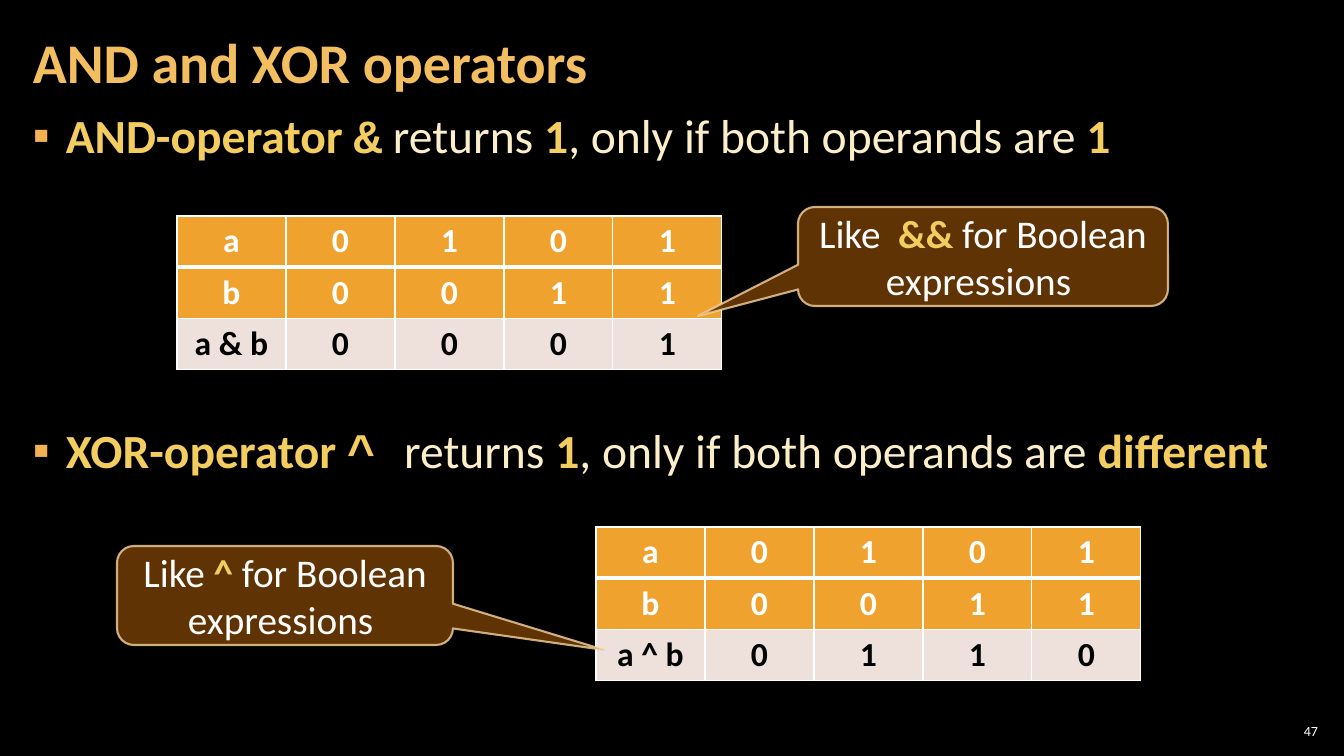
"""Build the slide on the AND and XOR operators with their truth tables."""
from lxml import etree
from pptx import Presentation
from pptx import util as u
from pptx.dml.color import RGBColor
from pptx.enum import shapes, text
from pptx.oxml.ns import qn

BLACK = RGBColor(0x00, 0x00, 0x00)
WHITE = RGBColor(0xFF, 0xFF, 0xFF)
TITLE = RGBColor(0xF3, 0xBE, 0x60)
CREAM = RGBColor(0xFB, 0xEE, 0xC9)
YELLOW = RGBColor(0xF3, 0xCD, 0x60)
ORANGE = RGBColor(0xF0, 0xA2, 0x2E)
PALE = RGBColor(0xEE, 0xE0, 0xDB)
BROWN = RGBColor(0x66, 0x36, 0x06)
TAN = RGBColor(0xF8, 0xD4, 0x9E)
BULLET = "F2B254"

PX = 914400 / 100.8
STRONG = {"color": YELLOW, "bold": True}
CODE = {**STRONG, "font": "Courier New"}

HEADING = "AND and XOR operators"
PAGE = "47"
BULLETS = [
    (3, [("AND-operator ", STRONG), ("&", CODE), (" returns ", {}), ("1", STRONG),
         (", only if both operands are ", {}), ("1", STRONG)]),
    (183, [("XOR-operator ", STRONG), ("^ ", CODE), ("returns ", {}), ("1", STRONG),
           (", only if both operands are ", {}), ("different", STRONG)]),
]
INPUTS = [["a", "0", "1", "0", "1"], ["b", "0", "0", "1", "1"]]
TABLES = [
    ((177, 216), INPUTS + [["a & b", "0", "0", "0", "1"]]),
    ((596, 527), INPUTS + [["a ^ b", "0", "1", "1", "0"]]),
]
CALLOUTS = [
    ((798, 207, 370, 99), (-0.77, 0.6, 0.17),
     [("Like  ", {}), ("&& ", STRONG), ("for Boolean expressions ", {})]),
    ((117, 546, 336, 99), (0.95, 0.55, 0.17),
     [("Like ", {}), ("^ ", STRONG), ("for Boolean expressions ", {})]),
]
COL_W, ROW_H = 109, 51


def px(*lengths):
    return [u.Emu(round(n * PX)) for n in lengths]


def add_text(p, content, size, color, bold=False, font="Calibri", align=text.PP_ALIGN.LEFT):
    p.alignment = align
    r = p.add_run()
    r.text = content
    r.font.size = u.Pt(size)
    r.font.name = font
    r.font.bold = bold
    r.font.color.rgb = color


def add_runs(p, runs, **base):
    for content, style in runs:
        add_text(p, content, **{**base, **style})


def set_frame(tf, anchor, side, edge):
    tf.word_wrap = True
    tf.auto_size = text.MSO_AUTO_SIZE.NONE
    tf.vertical_anchor = anchor
    tf.margin_left = tf.margin_right = px(side)[0]
    tf.margin_top = tf.margin_bottom = px(edge)[0]


def add_bullet(p):
    pPr = p._p.get_or_add_pPr()
    indent = px(33)[0]
    pPr.set("marL", str(indent))
    pPr.set("indent", str(-indent))
    clr = etree.SubElement(pPr, qn("a:buClr"))
    etree.SubElement(clr, qn("a:srgbClr"), val=BULLET)
    etree.SubElement(pPr, qn("a:buFont"), typeface="Calibri")
    etree.SubElement(pPr, qn("a:buChar"), char="▪")


def set_borders(cell, top, bottom):
    tcPr = cell._tc.get_or_add_tcPr()
    for side, width in (("L", 1), ("R", 1), ("T", top), ("B", bottom)):
        ln = etree.SubElement(tcPr, qn("a:ln" + side), w=str(u.Pt(width)))
        fill = etree.SubElement(ln, qn("a:solidFill"))
        etree.SubElement(fill, qn("a:srgbClr"), val=str(WHITE))


def add_truth_table(s, at, rows):
    size = COL_W * len(rows[0]), ROW_H * len(rows)
    table = s.shapes.add_table(len(rows), len(rows[0]), *px(*at, *size)).table
    for col in table.columns:
        col.width = px(COL_W)[0]
    for i, row in enumerate(rows):
        table.rows[i].height = px(ROW_H)[0]
        is_result = i == len(rows) - 1
        for j, value in enumerate(row):
            cell = table.cell(i, j)
            set_borders(cell, 3 if i == 1 else 1, 3 if i == 0 else 1)
            cell.fill.solid()
            cell.fill.fore_color.rgb = PALE if is_result else ORANGE
            add_text(cell.text_frame.paragraphs[0], value, size=24, bold=True,
                     color=BLACK if is_result else WHITE, align=text.PP_ALIGN.CENTER)


def add_callout(s, box, adjustments, runs):
    sp = s.shapes.add_shape(shapes.MSO_SHAPE.ROUNDED_RECTANGULAR_CALLOUT, *px(*box))
    for i, value in enumerate(adjustments):
        sp.adjustments[i] = value
    sp.shadow.inherit = False
    sp.fill.solid()
    sp.fill.fore_color.rgb = BROWN
    sp.line.color.rgb = TAN
    sp.line.width = u.Pt(1.5)
    colors = sp._element.spPr.iter(qn("a:srgbClr"))
    for clr, alpha in zip(list(colors), ("95000", "80000")):
        etree.SubElement(clr, qn("a:alpha"), val=alpha)
    set_frame(sp.text_frame, text.MSO_ANCHOR.MIDDLE, 10, 5)
    add_runs(sp.text_frame.paragraphs[0], runs, size=28, color=WHITE,
             align=text.PP_ALIGN.CENTER)


def main():
    prs = Presentation()
    prs.slide_width, prs.slide_height = px(1344, 756)
    s = prs.slides.add_slide(prs.slide_layouts.get_by_name("Title Only"))
    s.background.fill.solid()
    s.background.fill.fore_color.rgb = BLACK

    title = s.shapes.title
    title.left, title.top, title.width, title.height = px(21, 4, 1055, 122)
    set_frame(title.text_frame, text.MSO_ANCHOR.MIDDLE, 12, 4)
    p = title.text_frame.paragraphs[0]
    p.line_spacing = 0.9
    add_text(p, HEADING, size=40, color=TITLE, bold=True)

    tf = s.shapes.add_textbox(*px(1275, 720, 47, 21)).text_frame
    set_frame(tf, text.MSO_ANCHOR.MIDDLE, 4, 4)
    add_text(tf.paragraphs[0], PAGE, size=10, color=WHITE, align=text.PP_ALIGN.RIGHT)

    tf = s.shapes.add_textbox(*px(21, 109, 1301, 632)).text_frame
    set_frame(tf, text.MSO_ANCHOR.TOP, 12, 4)
    for i, (before, runs) in enumerate(BULLETS):
        p = tf.add_paragraph() if i else tf.paragraphs[0]
        p.line_spacing = u.Pt(36)
        p.space_before, p.space_after = u.Pt(before), u.Pt(6)
        add_bullet(p)
        add_runs(p, runs, size=34, color=CREAM)

    for at, rows in TABLES:
        add_truth_table(s, at, rows)
    for callout in CALLOUTS:
        add_callout(s, *callout)
    prs.save("out.pptx")


if __name__ == "__main__":
    main()
